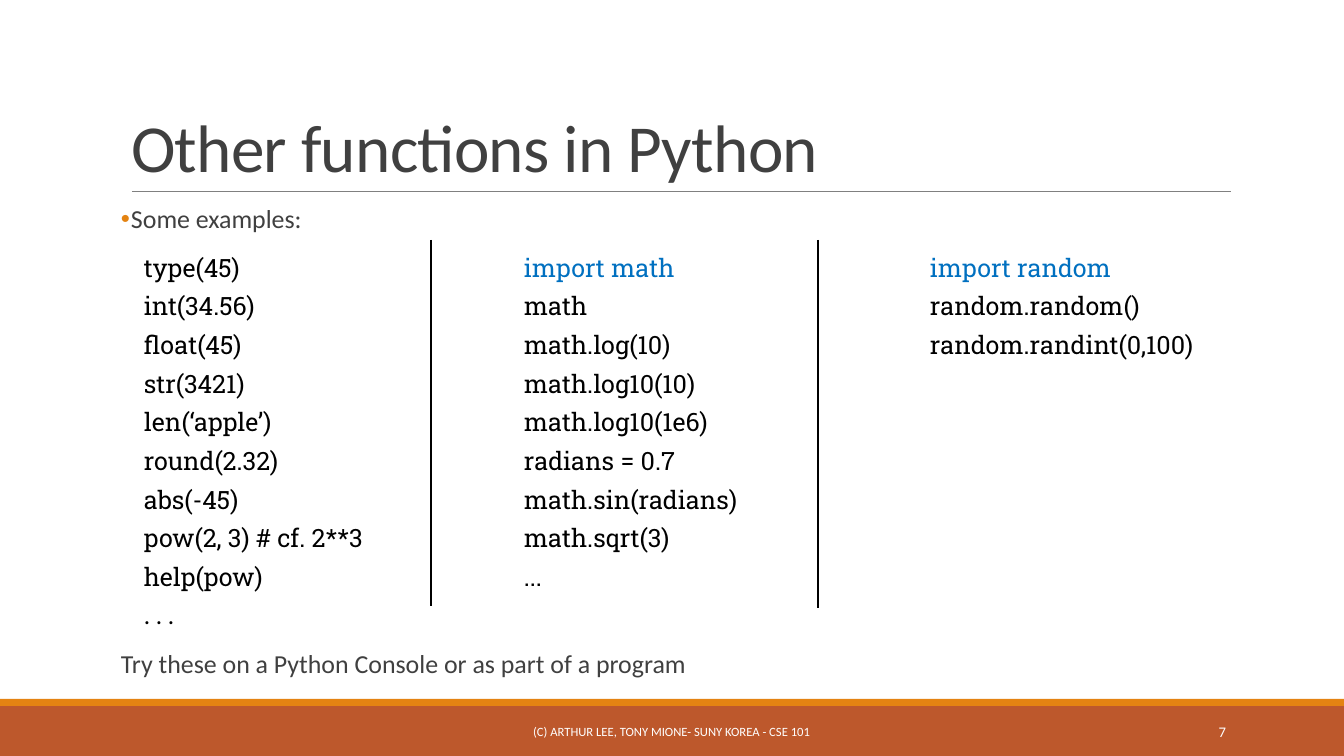
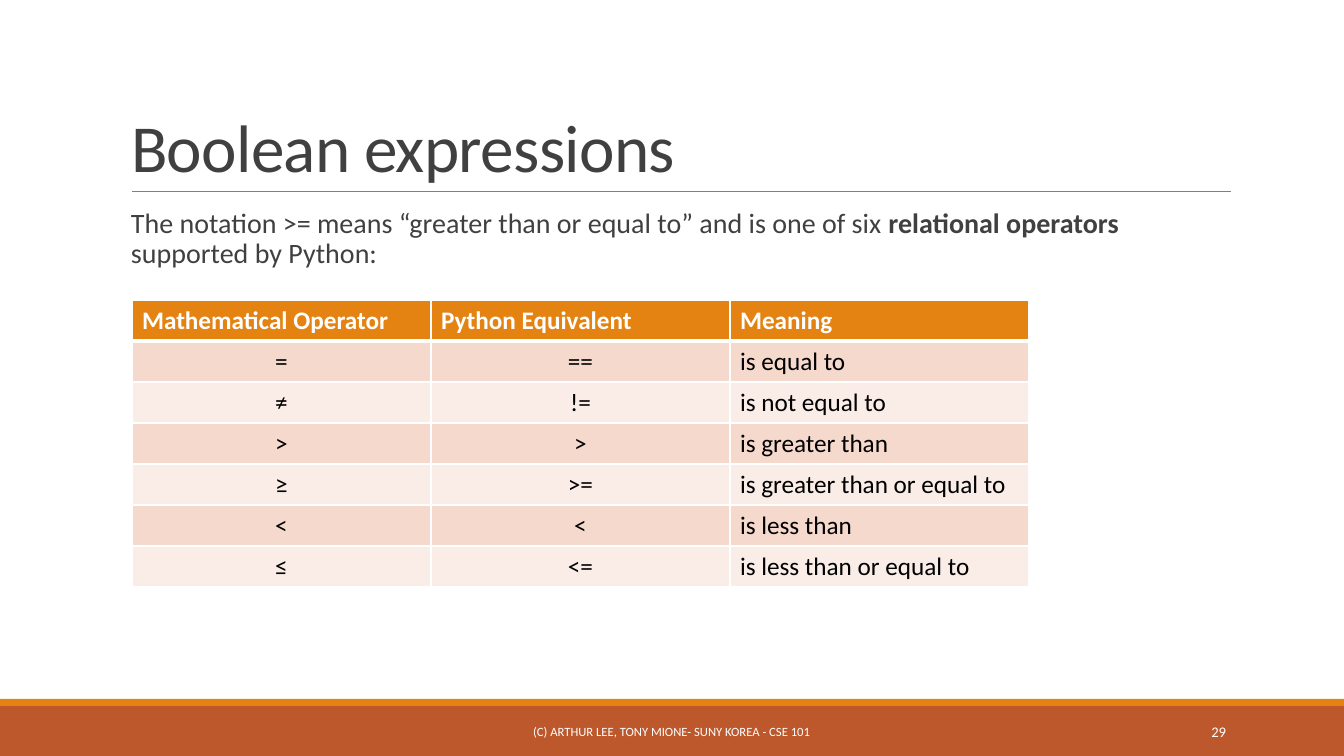
from pptx import Presentation
from pptx.dml.color import RGBColor
from pptx.enum.shapes import MSO_CONNECTOR, MSO_SHAPE
from pptx.enum.text import MSO_ANCHOR, MSO_AUTO_SIZE, PP_ALIGN
from pptx.oxml.ns import qn
from pptx.util import Emu, Pt
from lxml import etree

RECTANGLE = MSO_SHAPE.RECTANGLE
STRAIGHT = MSO_CONNECTOR.STRAIGHT
TOP, MIDDLE, BOTTOM = MSO_ANCHOR.TOP, MSO_ANCHOR.MIDDLE, MSO_ANCHOR.BOTTOM
LEFT, CENTER, RIGHT = PP_ALIGN.LEFT, PP_ALIGN.CENTER, PP_ALIGN.RIGHT
FIXED_SIZE = MSO_AUTO_SIZE.NONE

EMU_PER_PX = 914400 / 100.8
PAGE_WIDTH, PAGE_HEIGHT = 1344, 756
TITLE_AND_CONTENT = 1

BODY_FONT, CODE_FONT = "Calibri", "Roboto Slab"
WHITE, BLACK, GREY, RULE_GREY = "FFFFFF", "000000", "404040", "808080"
ORANGE, RUST, BLUE = "E48312", "BD582C", "0070C0"
ROW_TINTS = ("F5D9CC", "FAEDE7")
FOOTER = "(C) ARTHUR LEE, TONY MIONE- SUNY KOREA - CSE 101"

CODE_COLUMNS = [
    ((134, 247, 272, 392), [
        "type(45)", "int(34.56)", "float(45)", "str(3421)", "len(‘apple’)",
        "round(2.32)", "abs(-45)", "pow(2, 3) # cf. 2**3", "help(pow)", ". . ."]),
    ((514, 247, 264, 353), [
        "import math", "math", "math.log(10)", "math.log10(10)",
        "math.log10(1e6)", "radians = 0.7", "math.sin(radians)",
        "math.sqrt(3)", "..."]),
    ((920, 247, 367, 119), [
        "import random", "random.random()", "random.randint(0,100)"]),
]
OPERATORS = [
    ("Mathematical Operator", "Python Equivalent", "Meaning"),
    ("=", "==", "is equal to"),
    ("≠", "!=", "is not equal to"),
    (">", ">", "is greater than"),
    ("≥", ">=", "is greater than or equal to"),
    ("<", "<", "is less than"),
    ("≤", "<=", "is less than or equal to"),
]


def px(length):
    return Emu(round(length * EMU_PER_PX))


def color(value):
    return RGBColor.from_string(value)


def style(para, size, ink, font=BODY_FONT, bold=False, align=LEFT, before=0, after=0, spacing=1.0):
    para.alignment = align
    para.space_before, para.space_after = Pt(before), Pt(after)
    para.line_spacing = spacing
    para.font.name = font
    para.font.size = Pt(size)
    para.font.bold = bold
    para.font.color.rgb = color(ink)


def set_bullet(para, symbol=None, margin=0):
    props = para._p.get_or_add_pPr()
    props.set("marL", str(px(margin)))
    props.set("indent", str(px(-margin if symbol else 0)))
    if symbol:
        tint = etree.SubElement(props, qn("a:buClr"))
        etree.SubElement(tint, qn("a:srgbClr"), val=ORANGE)
        etree.SubElement(props, qn("a:buChar"), char=symbol)
    else:
        etree.SubElement(props, qn("a:buNone"))


def place(shape, left, top, width, height):
    shape.left, shape.top = px(left), px(top)
    shape.width, shape.height = px(width), px(height)


def add_band(page, top, height, fill):
    band = page.shapes.add_shape(RECTANGLE, px(0), px(top), px(PAGE_WIDTH), px(height))
    band.shadow.inherit = False
    band.fill.solid()
    band.fill.fore_color.rgb = color(fill)
    band.line.fill.background()


def add_line(page, start, end, ink, width):
    line = page.shapes.add_connector(STRAIGHT, *map(px, start + end))
    line.line.color.rgb = color(ink)
    line.line.width = Pt(width)
    etree.SubElement(line._element.spPr, qn("a:effectLst"))


def add_text(page, bounds, lines, anchor=TOP):
    box = page.shapes.add_textbox(*map(px, bounds))
    frame = box.text_frame
    frame.word_wrap = True
    frame.vertical_anchor = anchor
    frame.text = "\n".join(lines)
    return frame.paragraphs


def add_code_column(page, bounds, lines):
    for index, para in enumerate(add_text(page, bounds, lines)):
        ink = BLUE if para.text.startswith("import") else BLACK
        font = BODY_FONT if para.text == ". . ." else CODE_FONT
        style(para, 18, ink, font, before=6 if index else 0)


def add_page(deck, title, number):
    page = deck.slides.add_slide(deck.slide_layouts[TITLE_AND_CONTENT])
    add_band(page, 706, 50, RUST)
    add_band(page, 699, 7, ORANGE)
    add_line(page, (132, 191), (1231, 191), RULE_GREY, 0.5)
    heading = page.shapes.title
    place(heading, 121, 31, 1109, 160)
    frame = heading.text_frame
    frame.text = title
    frame.vertical_anchor = BOTTOM
    frame.auto_size = FIXED_SIZE
    para = frame.paragraphs[0]
    style(para, 48, GREY, spacing=0.85)
    para._p.pPr.find(qn("a:defRPr")).set("spc", "-50")
    style(add_text(page, (406, 712, 531, 40), [FOOTER], MIDDLE)[0], 9, WHITE, align=CENTER)
    style(add_text(page, (1092, 712, 144, 40), [number], MIDDLE)[0], 10.5, WHITE, align=RIGHT)
    return page


def open_body(page, height):
    body = page.placeholders[1]
    place(body, 121, 204, 1109, height)
    frame = body.text_frame
    frame.margin_left = frame.margin_right = 0
    frame.auto_size = FIXED_SIZE
    return frame


def set_border(cell, side, width):
    props = cell._tc.get_or_add_tcPr()
    line = etree.SubElement(props, qn(f"a:ln{side}"), w=str(Pt(width)))
    fill = etree.SubElement(line, qn("a:solidFill"))
    etree.SubElement(fill, qn("a:srgbClr"), val=WHITE)


def fill_cell(cell, text, row, column):
    header = row == 0
    for side in "LRTB":
        thick = (row, side) in ((0, "B"), (1, "T"))
        set_border(cell, side, 3 if thick else 1)
    cell.fill.solid()
    cell.fill.fore_color.rgb = color(ORANGE if header else ROW_TINTS[(row - 1) % 2])
    cell.text = text
    style(cell.text_frame.paragraphs[0], 18, WHITE if header else BLACK, bold=header,
          align=LEFT if header or column == 2 else CENTER)


def add_grid(page, left, top, column_width, row_height, rows):
    count = len(rows[0])
    table = page.shapes.add_table(
        len(rows), count, px(left), px(top),
        px(column_width * count), px(row_height * len(rows))).table
    for row, texts in enumerate(rows):
        for column, text in enumerate(texts):
            fill_cell(table.cell(row, column), text, row, column)


def build_functions(deck):
    page = add_page(deck, "Other functions in Python", "7")
    frame = open_body(page, 490)
    frame.text = "Some examples:\nTry these on a Python Console or as part of a program"
    examples, advice = frame.paragraphs
    set_bullet(examples, "•", 10)
    style(examples, 18.5, GREY, after=2, spacing=0.8)
    set_bullet(advice)
    style(advice, 18.5, GREY, before=298, after=2, spacing=0.8)
    for bounds, lines in CODE_COLUMNS:
        add_code_column(page, bounds, lines)
    for x, bottom in ((431, 606), (818, 608)):
        add_line(page, (x, 240), (x, bottom), BLACK, 1)


def build_operators(deck):
    page = add_page(deck, "Boolean expressions", "29")
    para = open_body(page, 184).paragraphs[0]
    set_bullet(para, margin=10)
    style(para, 20, GREY, spacing=0.9)
    for text, bold in (
            ("The notation >= means “greater than or equal to” and is one of six ", False),
            ("relational operators ", True),
            ("supported by Python:", False)):
        span = para.add_run()
        span.text = text
        span.font.bold = bold
    add_grid(page, 132, 300, 299, 41, OPERATORS)


def main():
    deck = Presentation()
    deck.slide_width, deck.slide_height = px(PAGE_WIDTH), px(PAGE_HEIGHT)
    build_functions(deck)
    build_operators(deck)
    deck.save("out.pptx")


if __name__ == "__main__":
    main()
